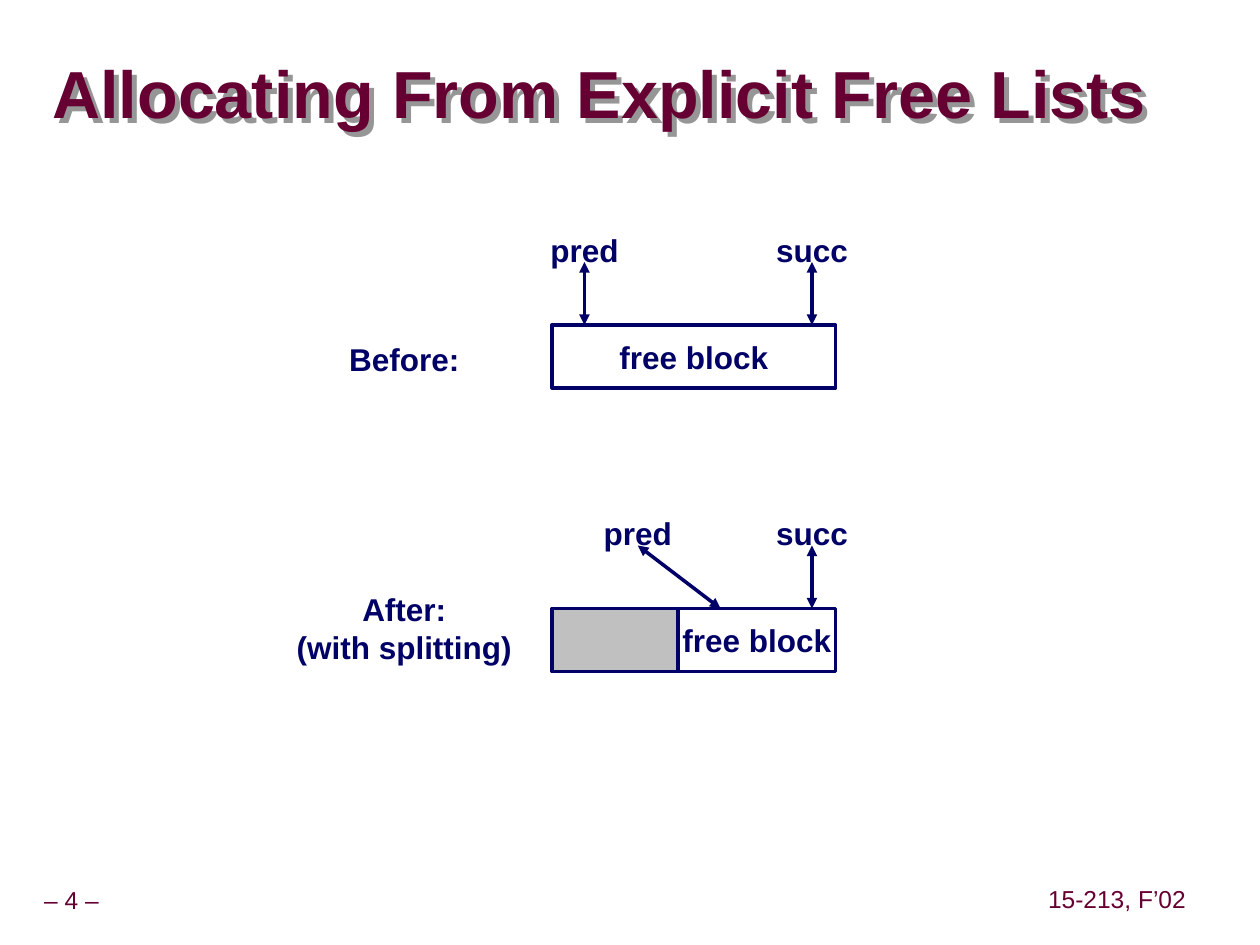
from lxml.etree import SubElement
from pptx import Presentation
from pptx.dml.color import RGBColor
from pptx.enum.shapes import MSO_CONNECTOR, MSO_SHAPE
from pptx.enum.text import MSO_ANCHOR, PP_ALIGN
from pptx.oxml.ns import qn
from pptx.util import Pt

NAVY, MAROON, GRAY, WHITE, SHADOW = "000066", "660033", "C0C0C0", "FFFFFF", "969696"
BLOCK_LEFT, BLOCK_WIDTH, BLOCK_HEIGHT = 315.5, 162, 36
SUCC_X = 464


def rgb(color):
    return RGBColor.from_string(color)


def write(shape, text, size=18, color=NAVY, bold=True, align=PP_ALIGN.CENTER,
          margins=(7.2, 3.6), spacing=1.0, wrap=False):
    tf = shape.text_frame
    tf.text = text
    tf.word_wrap = wrap
    tf.vertical_anchor = MSO_ANCHOR.MIDDLE
    tf.margin_left = tf.margin_right = Pt(margins[0])
    tf.margin_top = tf.margin_bottom = Pt(margins[1])
    for p in tf.paragraphs:
        p.alignment = align
        p.line_spacing = spacing
        for r in p.runs:
            r.font.name = "Arial"
            r.font.size = Pt(size)
            r.font.bold = bold
            r.font.color.rgb = rgb(color)


def add_label(s, text, center, top, width, height=28.8, **style):
    box = s.shapes.add_textbox(Pt(center - width / 2), Pt(top), Pt(width), Pt(height))
    write(box, text, **style)
    return box


def add_title(s, text):
    box = add_label(s, text, 345, 33, 630, 45.5, size=38, color=MAROON,
                    align=PP_ALIGN.LEFT, margins=(0, 0), spacing=0.87, wrap=True)
    # The box has no fill, so its shadow falls from the letters
    effects = SubElement(box._element.spPr, qn("a:effectLst"))
    shadow = SubElement(effects, qn("a:outerShdw"), blurRad="0", dist=str(Pt(4)),
                        dir="2700000", algn="ctr", rotWithShape="0")
    SubElement(shadow, qn("a:srgbClr"), val=SHADOW)


def add_block(s, left, top, width, fill=WHITE, text=None):
    sp = s.shapes.add_shape(MSO_SHAPE.RECTANGLE, Pt(left), Pt(top),
                            Pt(width), Pt(BLOCK_HEIGHT))
    sp.shadow.inherit = False
    sp.fill.solid()
    sp.fill.fore_color.rgb = rgb(fill)
    sp.line.color.rgb = rgb(NAVY)
    sp.line.width = Pt(2)
    if text:
        write(sp, text)


def add_arrow(s, x1, y1, x2, y2):
    line = s.shapes.add_connector(MSO_CONNECTOR.STRAIGHT, Pt(x1), Pt(y1), Pt(x2), Pt(y2))
    line.line.color.rgb = rgb(NAVY)
    line.line.width = Pt(2)
    ln = line.line._get_or_add_ln()
    for end in ("a:headEnd", "a:tailEnd"):
        SubElement(ln, qn(end), type="triangle")
    SubElement(line._element.spPr, qn("a:effectLst"))


def add_pointer(s, text, x, block_top, target_x):
    add_arrow(s, x, block_top - 36, target_x, block_top)
    add_label(s, text, x, block_top - 57.6, 56)


def main():
    prs = Presentation()
    prs.slide_width, prs.slide_height = Pt(720), Pt(540)
    s = prs.slides.add_slide(prs.slide_layouts[6])

    # Footer and title
    footer = dict(size=14, color=MAROON, bold=False, margins=(3.6, 3.6), spacing=0.9)
    add_label(s, "– 4 –", 40.9, 504, 94, 22.3, **footer)
    add_label(s, "15-213, F’02", 638.3, 503.3, 88, 22.3, **footer)
    add_title(s, "Allocating From Explicit Free Lists")

    # Before: one free block
    top = 185.75
    add_block(s, BLOCK_LEFT, top, BLOCK_WIDTH, text="free block")
    add_pointer(s, "pred", 334, top, 334)
    add_pointer(s, "succ", SUCC_X, top, SUCC_X)
    add_label(s, "Before:", 231, 191, 84)

    # After: allocated part in gray, remainder still free
    top = 347.75
    used = 72
    add_block(s, BLOCK_LEFT + used, top, BLOCK_WIDTH - used, text="free block")
    add_pointer(s, "pred", 364.5, top, 411.75)
    add_pointer(s, "succ", SUCC_X, top, SUCC_X)
    add_block(s, BLOCK_LEFT, top, used, fill=GRAY)
    add_label(s, "After:\n(with splitting)", 231, 333.4, 140, 50.4)

    prs.save("out.pptx")


if __name__ == "__main__":
    main()
